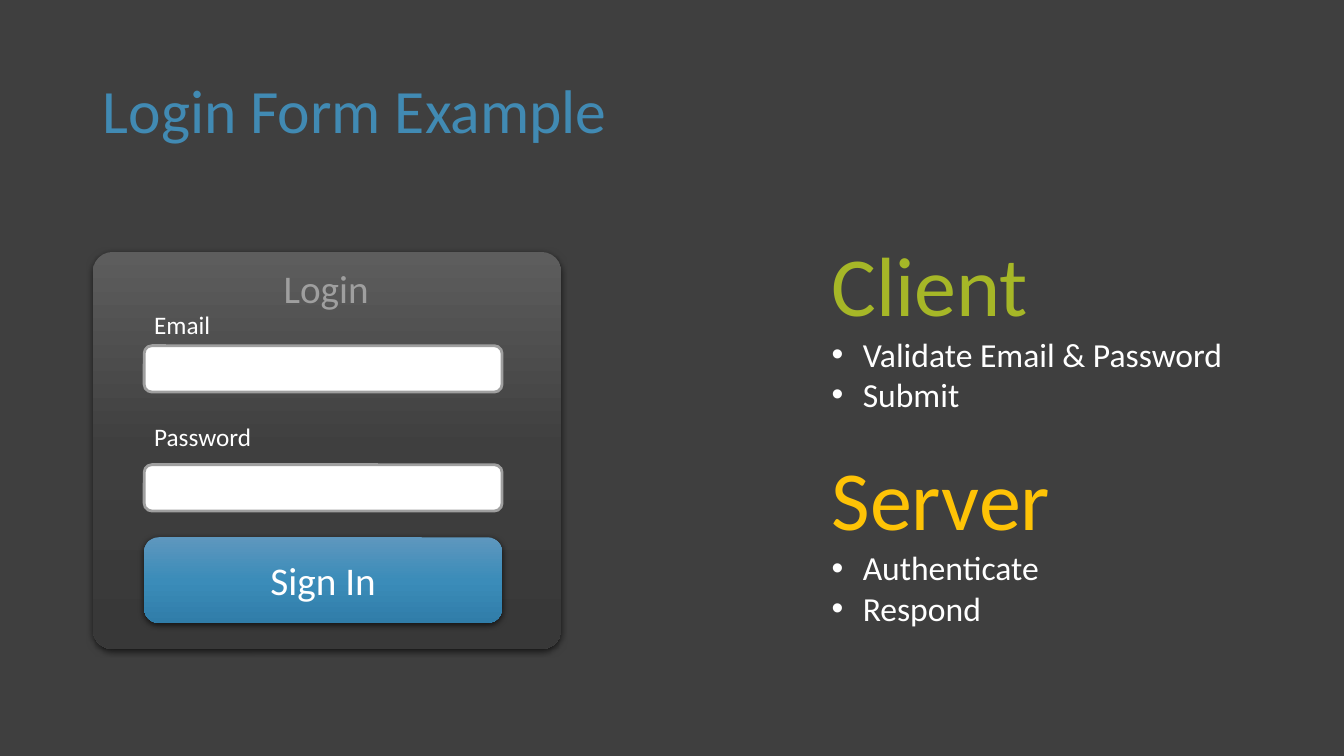
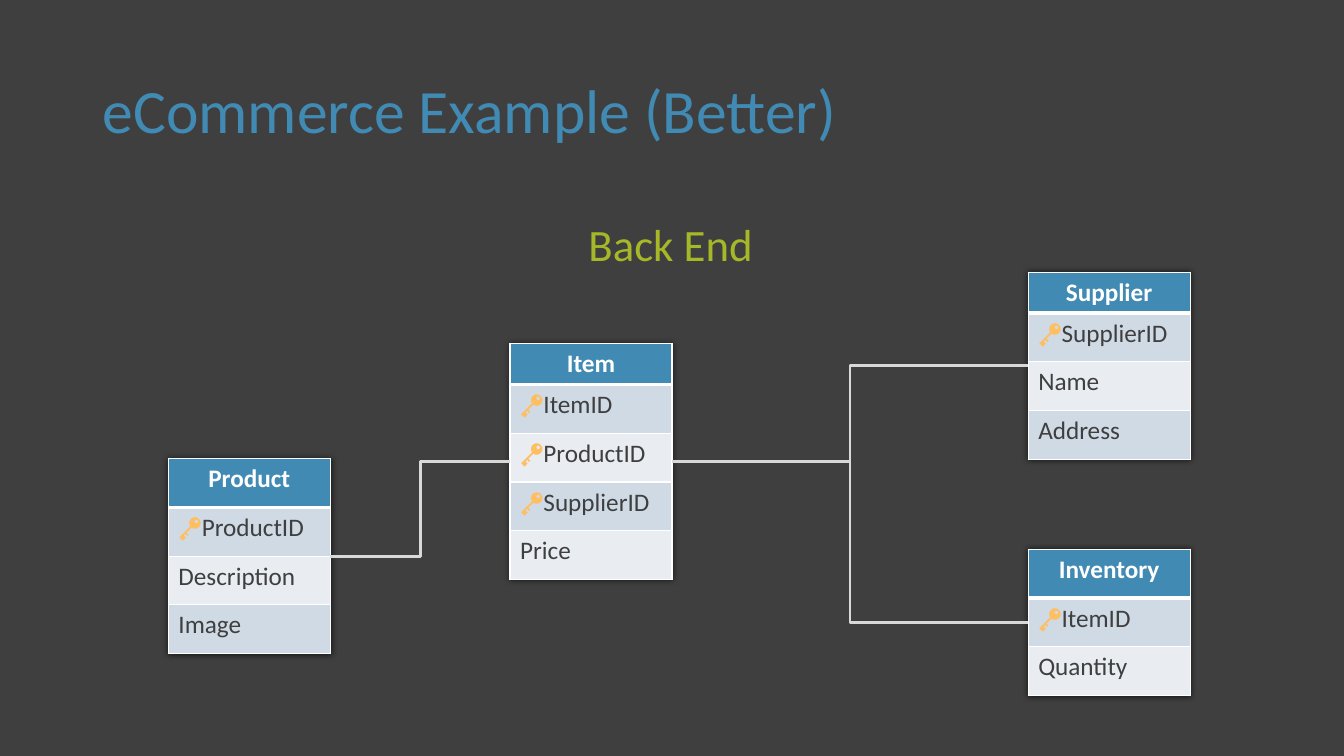
import pptx
import pptx.dml.color
import pptx.enum.shapes
import pptx.enum.text
import pptx.oxml
import pptx.oxml.ns
import pptx.util

RGB = pptx.dml.color.RGBColor
DARK = RGB(0x3F, 0x3F, 0x3F)
WHITE = RGB(0xFF, 0xFF, 0xFF)
BLUE = RGB(0x41, 0x8A, 0xB3)
GREEN = RGB(0xA6, 0xB7, 0x27)
GOLD = RGB(0xFE, 0xC3, 0x06)
AMBER = RGB(0xFF, 0xBF, 0x61)
GREY = RGB(0x9F, 0x9F, 0x9F)
PALE = RGB(0xD9, 0xD9, 0xD9)
BANDS = (RGB(0xE9, 0xED, 0xF2), RGB(0xCF, 0xDA, 0xE5))
CARD = (RGB(0x5D, 0x5D, 0x5D), DARK, RGB(0x38, 0x38, 0x38))
BUTTON = (RGB(0x5E, 0x97, 0xBE), RGB(0x3B, 0x8C, 0xB9), RGB(0x30, 0x7D, 0xA9))

FONT = "Calibri"
KEY = "🔑"
WIDTH = pptx.util.Inches(13.33)
HEIGHT = pptx.util.Inches(7.5)
ROUND = pptx.enum.shapes.MSO_SHAPE.ROUNDED_RECTANGLE
ELBOW = pptx.enum.shapes.MSO_CONNECTOR.ELBOW
ALIGN = pptx.enum.text.PP_ALIGN
FIT = pptx.enum.text.MSO_AUTO_SIZE
MIDDLE = pptx.enum.text.MSO_ANCHOR.MIDDLE
qn = pptx.oxml.ns.qn


def node(tag, inner="", **attrs):
    """Make a DrawingML element."""
    space = pptx.oxml.ns.nsdecls("a")
    words = " ".join(f'{name}="{value}"' for name, value in attrs.items())
    return pptx.oxml.parse_xml(f"<a:{tag} {space} {words}>{inner}</a:{tag}>")


def tint(color):
    return f'<a:srgbClr val="{color}"/>'


def shade(blur, drop):
    """Make a soft black shadow, with lengths in points."""
    black = '<a:srgbClr val="000000"><a:alpha val="63000"/></a:srgbClr>'
    return node("outerShdw", black, blurRad=pptx.util.Pt(blur), dist=pptx.util.Pt(drop),
                dir=5400000, algn="ctr", rotWithShape=0)


def write(para, text, size=18, color=WHITE, bold=False, align=ALIGN.LEFT, bullet=False):
    """Add a run to a paragraph and format both."""
    para.alignment = align
    run = para.add_run()
    run.text = text
    run.font.name = FONT
    run.font.size = pptx.util.Pt(size)
    run.font.bold = bold
    run.font.color.rgb = color
    if bullet:
        props = para._p.get_or_add_pPr()
        indent = pptx.util.Inches(0.31)
        props.set("marL", str(indent))
        props.set("indent", str(-indent))
        props.append(node("buFont", typeface="Arial"))
        props.append(node("buChar", char="•"))


def box(x, y, w, h):
    """Turn percentages of the slide into lengths."""
    return [round(part * side / 100)
            for part, side in zip((x, y, w, h), (WIDTH, HEIGHT) * 2)]


class Deck:
    def __init__(self):
        self.file = pptx.Presentation()
        self.file.slide_width, self.file.slide_height = WIDTH, HEIGHT
        back = self.file.slide_master.background.fill
        back.solid()
        back.fore_color.rgb = DARK

    def page(self, title):
        self.slide = self.file.slides.add_slide(self.file.slide_layouts[5])
        self.area = self.slide.shapes
        head = self.area.title
        head.left, head.top, head.width, head.height = box(6.9, 5.33, 86.25, 19.33)
        frame = head.text_frame
        frame.auto_size = FIT.NONE
        frame.vertical_anchor = MIDDLE
        para = frame.paragraphs[0]
        para.line_spacing = 0.9
        write(para, title, size=44, color=BLUE)

    def group(self):
        """Put the elements that follow into one group."""
        self.area = self.slide.shapes.add_group_shape().shapes

    def end(self):
        """Close the open group."""
        self.area = self.slide.shapes

    def label(self, place, text, wrap=True, **style):
        frame = self.area.add_textbox(*box(*place)).text_frame
        frame.word_wrap = wrap
        frame.auto_size = FIT.SHAPE_TO_FIT_TEXT
        write(frame.paragraphs[0], text, **style)
        return frame

    def points(self, place, head, color, items):
        frame = self.label(place, head, size=60, color=color)
        for item in items:
            write(frame.add_paragraph(), item, size=24, bullet=True)

    def field(self, place):
        shape = self.area.add_shape(ROUND, *box(*place))
        shape.shadow.inherit = False
        shape.fill.solid()
        shape.fill.fore_color.rgb = WHITE
        shape.line.color.rgb = GREY
        shape.line.width = pptx.util.Pt(2)

    def panel(self, place, colors, curve=0.17, text=""):
        """Draw a raised box with a gradient from top to bottom."""
        shape = self.area.add_shape(ROUND, *box(*place))
        shape.adjustments[0] = curve
        shape.line.fill.background()
        shape.fill.gradient()
        shape.fill.gradient_angle = 270
        props = shape._element.spPr
        stops = "".join(f'<a:gs pos="{i * 50000}">{tint(color)}</a:gs>'
                        for i, color in enumerate(colors))
        old = props.find(qn("a:gradFill")).find(qn("a:gsLst"))
        old.getparent().replace(old, node("gsLst", stops))
        shape.shadow.inherit = False
        props.find(qn("a:effectLst")).append(shade(4.5, 1.5))
        if text:
            shape.text_frame.vertical_anchor = MIDDLE
            write(shape.text_frame.paragraphs[0], text, size=28, align=ALIGN.CENTER)

    def cell(self, cell, index, text):
        props = cell._tc.get_or_add_tcPr()
        edges = {"L": 1, "R": 1, "T": 3 if index == 1 else 1, "B": 1 if index else 3}
        for side, width in edges.items():
            props.append(node("ln" + side, f"<a:solidFill>{tint(WHITE)}</a:solidFill>",
                              w=pptx.util.Pt(width)))
        cell.fill.solid()
        cell.fill.fore_color.rgb = BANDS[index % 2] if index else BLUE
        para = cell.text_frame.paragraphs[0]
        if not index:
            write(para, text, bold=True, align=ALIGN.CENTER)
            return
        if text.startswith(KEY):
            write(para, KEY, color=AMBER)
        write(para, text.removeprefix(KEY), color=DARK)

    def table(self, x, y, rows, top=6.45):
        """Draw an entity; top is the height of its header."""
        step = 6.45
        place = box(x, y, 12.05, top + step * (len(rows) - 1))
        frame = self.area.add_table(len(rows), 1, *place)
        table = frame.table
        effect = node("effectLst")
        effect.append(shade(4.5, 0))
        table._tbl.tblPr.insert(0, effect)
        for index, text in enumerate(rows):
            table.rows[index].height = round(HEIGHT * (step if index else top) / 100)
            self.cell(table.cell(index, 0), index, text)
        frame.height = sum(row.height for row in table.rows)
        return frame

    def link(self, start, end):
        """Join the right side of one table to the left side of another."""
        line = self.area.add_connector(ELBOW, 0, 0, 0, 0)
        line.begin_connect(start, 3)
        line.end_connect(end, 1)
        line.line.color.rgb = PALE
        line.line.width = pptx.util.Pt(2)
        line._element.spPr.append(node("effectLst"))


def login(deck):
    deck.page("Login Form Example")
    deck.group()
    left, wide = 10.73, 26.63
    deck.panel((6.9, 33.33, 34.88, 52.53), CARD, curve=0.05)
    deck.label((20.33, 34.27, 7.88, 7.6), "Login", size=28, color=GREY, align=ALIGN.CENTER)
    for text, high, low in (("Email", 40.27, 45.73), ("Password", 55.07, 61.47)):
        deck.label((left, high, 19.43, 5.33), text)
        deck.field((left, low, wide, 6.13))
    deck.panel((left, 71.07, wide, 11.33), BUTTON, text="Sign In")
    deck.end()
    sides = (("Client", GREEN, ("Validate Email & Password", "Submit")),
             ("Server", GOLD, ("Authenticate", "Respond")))
    for i, (head, color, items) in enumerate(sides):
        deck.points((61.13, 30.13 + i * 28.27, 33, 25.6), head, color, items)


def store(deck):
    deck.page("eCommerce Example (Better)")
    deck.label((43.05, 28, 13.88, 8.53), "Back End", wrap=False, size=32, color=GREEN)
    goods = deck.table(12.53, 60.67, ("Product", KEY + "ProductID", "Description", "Image"))
    stock = deck.table(76.5, 72.67, ("Inventory", KEY + "ItemID", "Quantity"))
    item = deck.table(37.95, 45.47, ("Item", KEY + "ItemID", KEY + "ProductID",
                                     KEY + "SupplierID", "Price"), top=5.4)
    maker = deck.table(76.5, 36, ("Supplier", KEY + "SupplierID", "Name", "Address"), top=5.4)
    for start, end in ((goods, item), (item, maker), (item, stock)):
        deck.link(start, end)


def main():
    deck = Deck()
    login(deck)
    store(deck)
    deck.file.save("out.pptx")


if __name__ == "__main__":
    main()
